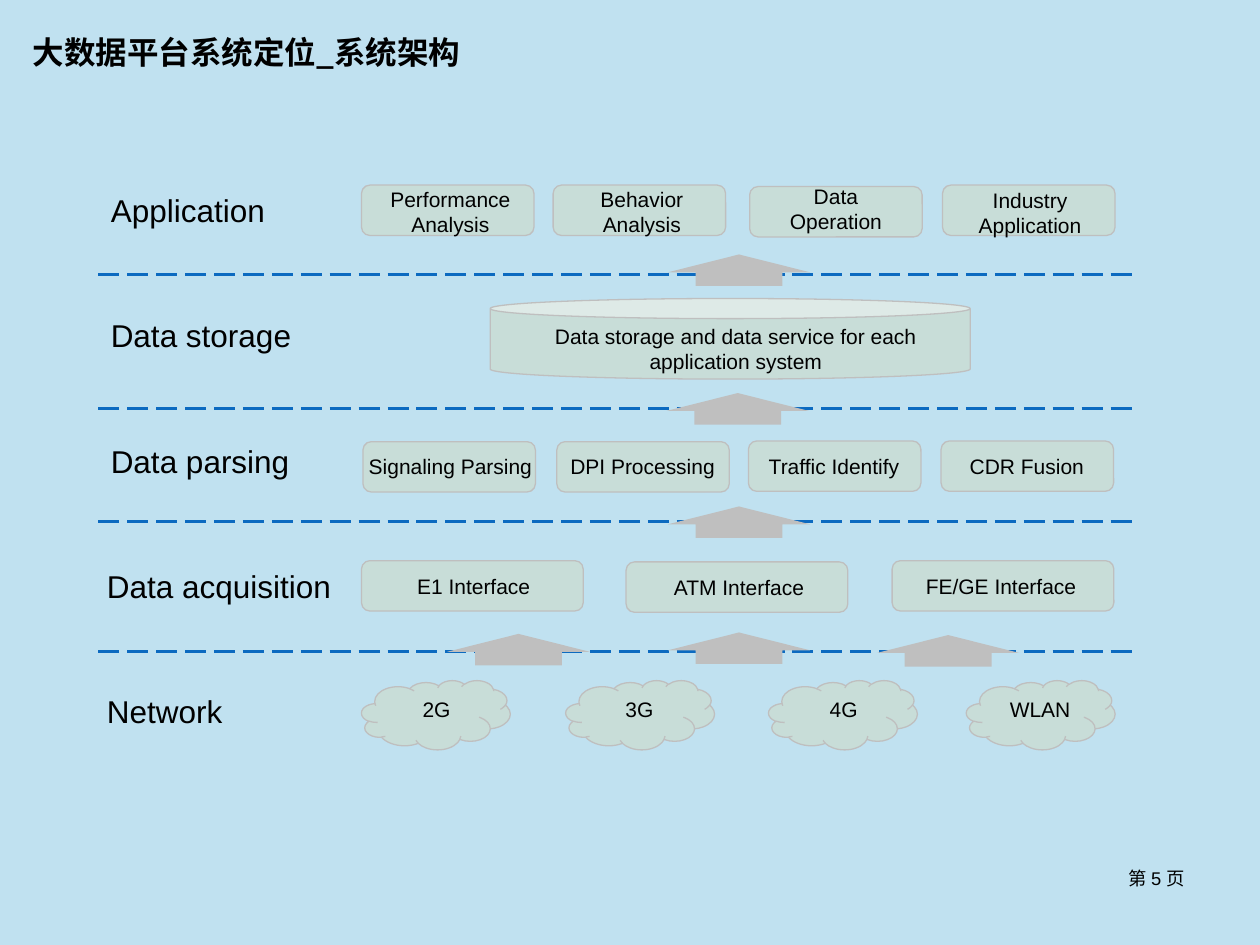
from pptx import Presentation
from pptx.dml.color import RGBColor
from pptx.enum import dml, shapes, text
from pptx.oxml.ns import qn
from pptx.util import Pt
from lxml import etree

KIND = shapes.MSO_SHAPE
LEFT, MID, RIGHT = text.PP_ALIGN.LEFT, text.PP_ALIGN.CENTER, text.PP_ALIGN.RIGHT
CJK = "Noto Sans CJK SC"


def rgb(code):
    return RGBColor.from_string(code)


def write(box, words, size=12, align=MID, bold=False, face="Arial"):
    frame = box.text_frame
    frame.word_wrap = True
    frame.auto_size = text.MSO_AUTO_SIZE.NONE
    frame.vertical_anchor = text.MSO_ANCHOR.TOP
    frame.text = words
    for para in frame.paragraphs:
        para.alignment = align
        for run in para.runs:
            run.font.size = Pt(size)
            run.font.bold = bold
            run.font.name = face
            run.font.color.rgb = rgb("000000")
            east = etree.SubElement(run.font._element, qn("a:ea"))
            east.set("typeface", CJK)


deck = Presentation()
deck.slide_width, deck.slide_height = Pt(720), Pt(540)
slide = deck.slides.add_slide(deck.slide_layouts[5])
slide.background.fill.solid()
slide.background.fill.fore_color.rgb = rgb("C0E1F0")
items = slide.shapes

title = items.title
title.left, title.top, title.width, title.height = Pt(11.5), Pt(15.1), Pt(259), Pt(29)
write(title, "大数据平台系统定位_系统架构", size=18, align=LEFT, bold=True, face=CJK)

for y in (157, 233.3, 298.1, 372.2):
    rule = items.add_connector(shapes.MSO_CONNECTOR.STRAIGHT, Pt(56.2), Pt(y), Pt(649.4), Pt(y))
    rule.line.color.rgb = rgb("0C6AC0")
    rule.line.width = Pt(1.5)
    rule.line.dash_style = dml.MSO_LINE.LONG_DASH
    etree.SubElement(rule.line._get_or_add_ln().getparent(), qn("a:effectLst"))

for x, y in ((381.6, 145.4), (380.9, 224.6), (381.6, 289.4),
             (255.6, 362.2), (381.6, 361.4), (501.1, 362.9)):
    arrow = items.add_shape(KIND.UP_ARROW, Pt(x), Pt(y), Pt(81.4), Pt(18))
    arrow.adjustments[0], arrow.adjustments[1] = 0.61, 0.57
    arrow.shadow.inherit = False
    arrow.fill.solid()
    arrow.fill.fore_color.rgb = rgb("BFBFBF")
    arrow.line.fill.background()

layers = [
    ("Application", 56.2, 105.8, KIND.ROUNDED_RECTANGLE, 98.6, 28.8, 36, [
        ("Performance Analysis", 206.6, 105.8, 202.3, 103, 110.2),
        ("Behavior\nAnalysis", 316.1, 105.8, 331.9, 103, 69.8),
        ("Data Operation", 428.4, 106.6, 442.8, 101.5, 69.8),
        ("Industry Application", 538.6, 105.8, 550.8, 103.7, 75.6)]),
    ("Data storage", 56.2, 177.1, KIND.CAN, 274.3, 46.1, 36, [
        ("Data storage and data service for each application system",
         280.1, 170.6, 290.2, 181.4, 260.6)]),
    ("Data parsing", 56.2, 249.1, KIND.ROUNDED_RECTANGLE, 98.6, 28.8, 21.6, [
        ("Signaling Parsing", 207.4, 252.4, 202.3, 255.6, 110.2),
        ("DPI Processing", 318.2, 252.4, 317.5, 255.6, 99.4),
        ("Traffic Identify", 427.7, 252, 427.7, 255.6, 97.9),
        ("CDR Fusion", 537.8, 252, 542.9, 255.6, 87.8)]),
    ("Data acquisition", 54, 320.4, KIND.ROUNDED_RECTANGLE, 126.7, 28.8, 21.6, [
        ("E1 Interface", 206.6, 320.4, 223.9, 324, 93.6),
        ("ATM Interface", 357.8, 321.1, 377.3, 324.7, 90),
        ("FE/GE Interface", 509.8, 320.4, 514.8, 324, 114.5)]),
    ("Network", 54, 391.7, KIND.CLOUD, 85, 39.6, 21.6, [
        ("2G", 206.6, 388.8, 226.8, 394.6, 45.4),
        ("3G", 323.3, 388.8, 342.7, 394.6, 45.4),
        ("4G", 439.2, 388.8, 459.4, 394.6, 45.4),
        ("WLAN", 552.2, 388.8, 558.7, 394.6, 71.3)]),
]

for name, left, top, kind, wide, high, tall, parts in layers:
    label = items.add_textbox(Pt(left), Pt(top), Pt(145), Pt(29))
    write(label, name, size=18, align=LEFT)
    for words, x, y, tx, ty, span in parts:
        block = items.add_shape(kind, Pt(x), Pt(y), Pt(wide), Pt(high))
        block.shadow.inherit = False
        block.fill.solid()
        block.fill.fore_color.rgb = rgb("C8DDD8")
        block.line.color.rgb = rgb("BFBFBF")
        block.line.width = Pt(0.75)
        write(items.add_textbox(Pt(tx), Pt(ty), Pt(span), Pt(tall)), words)

page = items.add_textbox(Pt(516.2), Pt(491.8), Pt(167.8), Pt(37.4))
write(page, "第 5 页", size=10.5, align=RIGHT)

deck.save("out.pptx")
